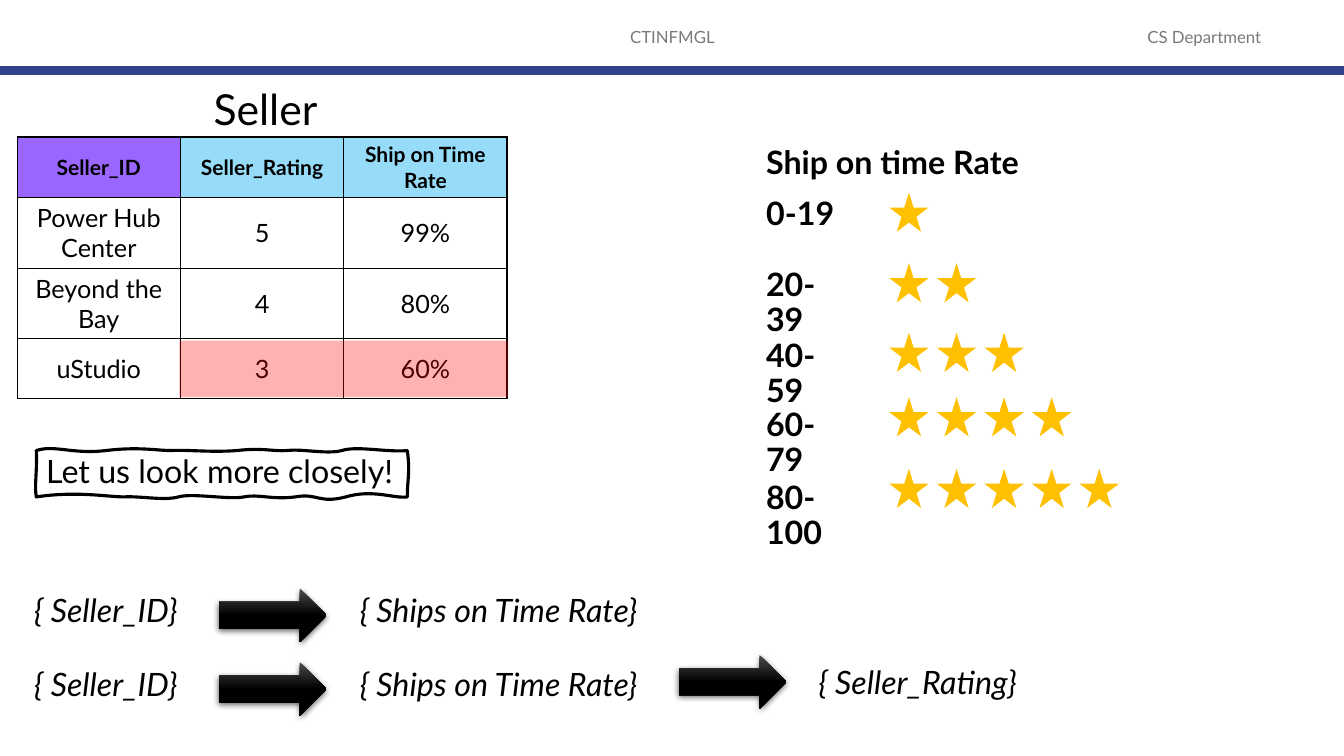
from lxml.etree import SubElement
from pptx import Presentation
from pptx.dml.color import RGBColor
from pptx.enum.shapes import MSO_CONNECTOR, MSO_SHAPE
from pptx.enum.text import MSO_ANCHOR, PP_ALIGN
from pptx.oxml.ns import qn
from pptx.util import Inches, Pt

# All lengths are counted in square grid cells: 133.3 columns by 75 rows.
CELL = Inches(0.1)
COLUMNS, ROWS = 133.3, 75
FONT = "Lato"
COLORS = {
    "black": "000000", "header": "797979", "rule": "32418C", "key": "9966FF",
    "dependent": "96DCF8", "star": "FFC000", "highlight": "FF0000", "sheen": "4B4B4B",
}
SELLERS = [
    ["Seller_ID", "Seller_Rating", "Ship on Time Rate"],
    ["Power Hub Center", "5", "99%"],
    ["Beyond the Bay", "4", "80%"],
    ["uStudio", "3", "60%"],
]
HEADING_HEIGHT, SELLER_HEIGHT = 4.8, 5.9
# Rate range, label top, label width, top of its stars
RATINGS = [
    ("0-19", 19.1, 9.1, 19.1),
    ("20-39", 26.2, 10, 26.1),
    ("40-59", 33.2, 10, 33),
    ("60-79", 40.1, 10, 39.4),
    ("80-100", 47.3, 12.4, 46.5),
]
STAR_SIZE, STAR_STEP = 3.9, 4.72
# Each curve: two control points and an end point
FRAME_START = (3.6, 44.7)
FRAME_CURVES = [
    ((5.4, 44.1), (7.2, 45.1), (10.5, 44.7)),
    ((13.8, 44.3), (15.5, 44.7), (17, 44.7)),
    ((18.5, 44.6), (20.9, 44.9), (23.5, 44.7)),
    ((26.1, 44.4), (27, 44.8), (28.5, 44.7)),
    ((30, 44.5), (32.4, 45.1), (33.9, 44.7)),
    ((35.4, 44.2), (38.4, 44.9), (40.4, 44.7)),
    ((40.7, 46.9), (40.4, 47.5), (40.4, 49.3)),
    ((39.1, 49.5), (37, 48.5), (34.3, 49.3)),
    ((31.6, 50), (31.5, 48.9), (29.3, 49.3)),
    ((27, 49.6), (25.6, 49), (24.2, 49.3)),
    ((22.8, 49.6), (19.1, 48.9), (17.7, 49.3)),
    ((16.3, 49.7), (13.9, 49.2), (12.3, 49.3)),
    ((10.7, 49.3), (7.6, 48.7), (3.6, 49.3)),
    ((3.4, 48.2), (3.7, 46.7), (3.6, 44.7)),
]


def cells(*counts):
    return [round(count * CELL) for count in counts]


def color(name):
    return RGBColor.from_string(COLORS[name])


def write(frame, text, size=23, ink="black", bold=False, italic=False,
          align=PP_ALIGN.LEFT, anchor=MSO_ANCHOR.TOP, spacing=0.9):
    frame.word_wrap = True
    frame.vertical_anchor = anchor
    para = frame.paragraphs[0]
    para.alignment = align
    para.line_spacing = spacing
    span = para.add_run()
    span.text = text
    font = span.font
    font.name, font.size, font.bold, font.italic = FONT, Pt(size), bold, italic
    font.color.rgb = color(ink)


def add_text(page, place, text, **style):
    box = page.shapes.add_textbox(*cells(*place))
    write(box.text_frame, text, **style)


def add_solid(page, kind, place, fill, opacity=100):
    shape = page.shapes.add_shape(kind, *cells(*place))
    shape.shadow.inherit = False
    shape.line.fill.background()
    shape.fill.solid()
    shape.fill.fore_color.rgb = color(fill)
    if opacity < 100:
        tint = shape.fill._xPr.find(".//" + qn("a:srgbClr"))
        SubElement(tint, qn("a:alpha"), val=str(opacity * 1000))


def add_arrow(page, left, top):
    arrow = page.shapes.add_shape(MSO_SHAPE.RIGHT_ARROW, *cells(left, top, 10.7, 5.3))
    arrow.line.fill.background()
    arrow.fill.gradient()
    arrow.fill.gradient_angle = 270
    for stop, position, name in zip(arrow.fill.gradient_stops, (0, 0.5), ("sheen", "black")):
        stop.position = position
        stop.color.rgb = color(name)
    arrow.shadow.inherit = False
    effects = arrow._element.spPr.find(qn("a:effectLst"))
    shadow = SubElement(effects, qn("a:outerShdw"), blurRad=str(Pt(4.5)),
                        dist=str(Pt(1.5)), dir="5400000", rotWithShape="0")
    tint = SubElement(shadow, qn("a:srgbClr"), val=COLORS["black"])
    SubElement(tint, qn("a:alpha"), val="63000")


def add_rule(page, top):
    rule = page.shapes.add_connector(MSO_CONNECTOR.STRAIGHT, *cells(0, top, COLUMNS, top))
    rule.line.color.rgb = color("rule")
    rule.line.width = Pt(6)
    SubElement(rule._element.spPr, qn("a:effectLst"))


def add_borders(cell):
    properties = cell._tc.get_or_add_tcPr()
    for side in ("lnL", "lnR", "lnT", "lnB"):
        line = SubElement(properties, qn("a:" + side), w=str(Pt(1)))
        fill = SubElement(line, qn("a:solidFill"))
        SubElement(fill, qn("a:srgbClr"), val=COLORS["black"])


def add_seller_table(page, *place):
    table = page.shapes.add_table(len(SELLERS), len(SELLERS[0]), *cells(*place)).table
    table.first_row = table.horz_banding = False
    for index, values in enumerate(SELLERS):
        heading = index == 0
        table.rows[index].height = cells(HEADING_HEIGHT if heading else SELLER_HEIGHT)[0]
        for column, value in enumerate(values):
            cell = table.cell(index, column)
            add_borders(cell)
            if heading:
                cell.fill.solid()
                cell.fill.fore_color.rgb = color("dependent" if column else "key")
            else:
                cell.fill.background()
            write(cell.text_frame, value, size=15 if heading else 18, bold=heading,
                  align=PP_ALIGN.CENTER, spacing=1)
            cell.vertical_anchor = MSO_ANCHOR.MIDDLE


def add_outline(page, start, corners):
    """Add an unfilled closed freeform through the given grid points."""
    builder = page.shapes.build_freeform(*cells(*start))
    builder.add_line_segments([cells(*corner) for corner in corners], close=True)
    outline = builder.convert_to_shape()
    outline.shadow.inherit = False
    outline.fill.background()
    return outline


def bend(outline, curves):
    """Turn the straight segments of an outline into cubic curves."""
    segments = list(outline._element.iter(qn("a:lnTo")))
    for segment, curve in zip(segments, curves):
        segment.tag = qn("a:cubicBezTo")
        segment.remove(segment[0])
        for point in curve:
            x, y = cells(*point)
            SubElement(segment, qn("a:pt"), x=str(x - outline.left), y=str(y - outline.top))


def add_wavy_frame(page, text):
    frame = add_outline(page, FRAME_START, [curve[-1] for curve in FRAME_CURVES])
    bend(frame, FRAME_CURVES)
    frame.line.color.rgb = color("black")
    frame.line.width = Pt(2.25)
    write(frame.text_frame, text)


def add_scale_title(page, left, top, width, height, text):
    right, bottom = left + width, top + height
    title = add_outline(page, (left, top), [(right, top), (right, bottom), (left, bottom)])
    title.line.fill.background()
    write(title.text_frame, text, bold=True)


def add_rating_scale(page, left, stars_left):
    add_scale_title(page, left, 14.1, 28.4, 4.6, "Ship on time Rate")
    for count, (label, top, width, stars_top) in enumerate(RATINGS, start=1):
        add_text(page, (left, top, width, 4.6), label, bold=True)
        for star in range(count):
            place = (stars_left + star * STAR_STEP, stars_top, STAR_SIZE, STAR_SIZE)
            add_solid(page, MSO_SHAPE.STAR_5_POINT, place, "star")


def main():
    deck = Presentation()
    deck.slide_width, deck.slide_height = cells(COLUMNS, ROWS)
    page = deck.slides.add_slide(deck.slide_layouts[6])
    for text, left, width in (("CTINFMGL", 44.2, 45), ("CS Department", 109.2, 20.5)):
        add_text(page, (left, 1.7, width, 4), text, size=12, ink="header",
                 align=PP_ALIGN.CENTER, anchor=MSO_ANCHOR.MIDDLE, spacing=1)
    add_rule(page, 7)
    add_seller_table(page, 1.7, 13.6, 48.6, 25.9)
    add_rating_scale(page, 75, 88.2)
    add_solid(page, MSO_SHAPE.RECTANGLE, (17.8, 33.8, 32.6, 5.6), "highlight", opacity=30)
    for top in (58.5, 65.8):
        add_text(page, (2.4, top, 17.2, 5.9), "{ Seller_ID}", italic=True)
        add_arrow(page, 21.7, top - 0.1)
        add_text(page, (34.7, top, 31.4, 5.9), "{ Ships on Time Rate}", italic=True)
    add_arrow(page, 67.3, 65)
    add_text(page, (80.2, 65.6, 23.2, 5.9), "{ Seller_Rating}", italic=True)
    add_wavy_frame(page, "Let us look more closely!")
    add_text(page, (20.2, 9.1, 13.4, 5.2), "Seller", size=30.5, spacing=0.7)
    deck.save("out.pptx")


if __name__ == "__main__":
    main()
